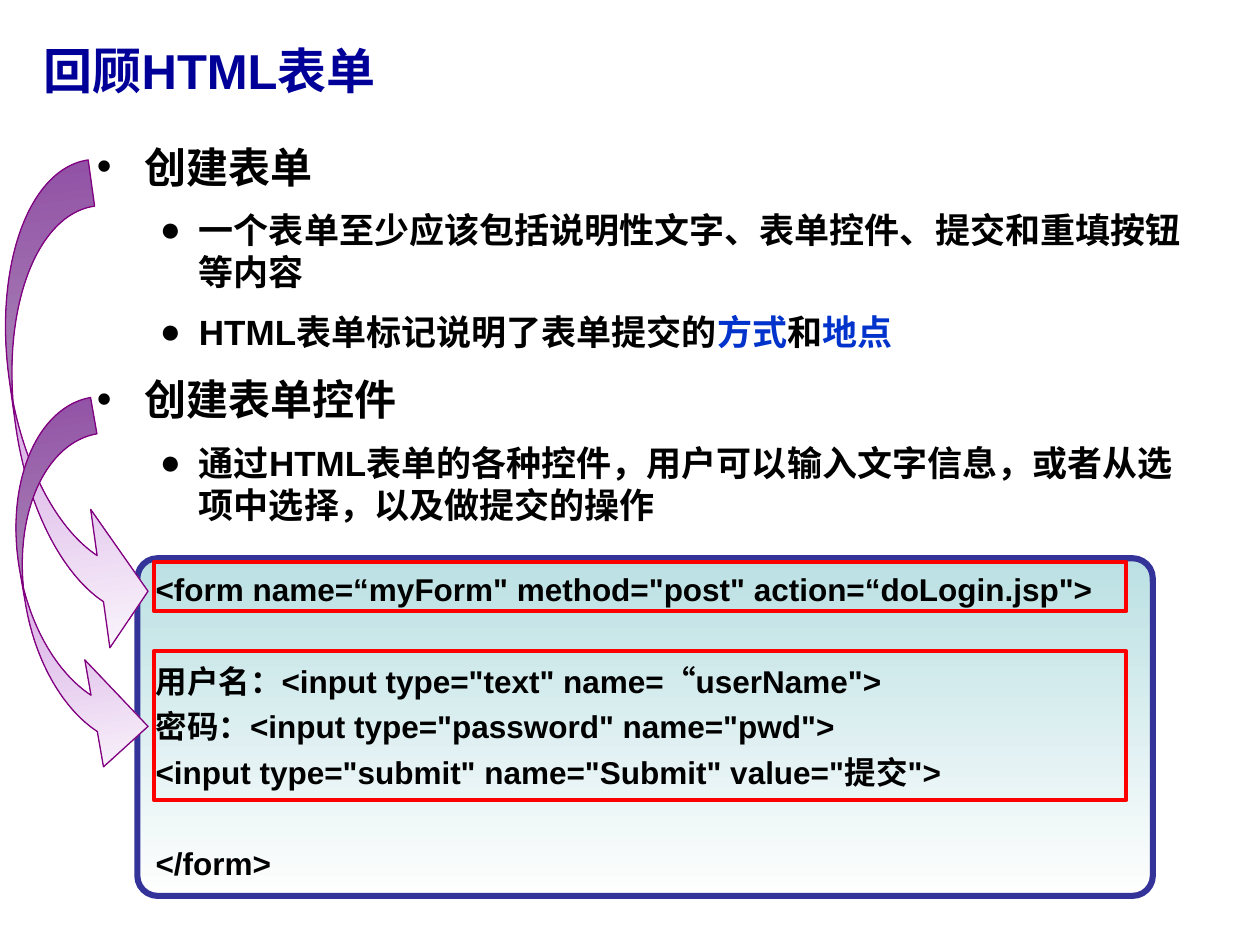
import pptx
import pptx.dml.color
import pptx.enum.shapes
import pptx.enum.text
import pptx.util
from dataclasses import dataclass
from lxml import etree
from pptx.oxml.ns import qn

SHAPE = pptx.enum.shapes.MSO_SHAPE
ANCHOR = pptx.enum.text.MSO_ANCHOR
SLIDE_WIDTH = pptx.util.Inches(10)
SLIDE_HEIGHT = pptx.util.Inches(7.5)


@dataclass(frozen=True)
class Theme:
    font: str = "Arial"
    title: str = "000099"
    text: str = "000000"
    keyword: str = "0033CC"
    panel_top: str = "BBE0E3"
    fade: str = "FEFEFE"
    panel_line: str = "333399"
    marker: str = "FF0000"
    arrow: str = "B563CF"
    arrow_line: str = "800080"
    title_size: float = 28
    topic_size: float = 24
    detail_size: float = 20
    code_size: float = 18


THEME = Theme()


def rgb(value):
    return pptx.dml.color.RGBColor.from_string(value)


def area(left, top, width, height):
    """Turn percentages of the slide's size into a position and size."""
    return (int(SLIDE_WIDTH * left / 100), int(SLIDE_HEIGHT * top / 100),
            int(SLIDE_WIDTH * width / 100), int(SLIDE_HEIGHT * height / 100))


def set_bullet(paragraph, char, margin, hanging):
    properties = paragraph._p.get_or_add_pPr()
    properties.set("marL", str(pptx.util.Inches(margin)))
    properties.set("indent", str(-pptx.util.Inches(hanging)))
    bullet_color = etree.SubElement(properties, qn("a:buClr"))
    etree.SubElement(bullet_color, qn("a:srgbClr"), val=THEME.text)
    etree.SubElement(properties, qn("a:buFont"), typeface=THEME.font)
    etree.SubElement(properties, qn("a:buChar"), char=char)


def write(frame, text, size, color=THEME.text, before=0, bullet=None,
          first=False, keywords=()):
    """Write one paragraph, colouring each of the keywords in it."""
    paragraph = frame.paragraphs[0] if first else frame.add_paragraph()
    if bullet:
        set_bullet(paragraph, *bullet)
    paragraph.alignment = pptx.enum.text.PP_ALIGN.LEFT
    paragraph.space_before = pptx.util.Pt(before)
    for keyword in keywords:
        text = text.replace(keyword, f"|{keyword}|")
    for part in filter(None, text.split("|")):
        run = paragraph.add_run()
        run.text = part
        run.font.name = THEME.font
        run.font.size = pptx.util.Pt(size)
        run.font.bold = True
        run.font.color.rgb = rgb(THEME.keyword if part in keywords else color)


def add_text_area(slide, place, anchor=ANCHOR.TOP):
    frame = slide.shapes.add_textbox(*area(*place)).text_frame
    frame.word_wrap = True
    frame.vertical_anchor = anchor
    return frame


def add_figure(slide, kind, place, line, line_width, fill=None,
               adjustments=(), rotation=0):
    """Add a preset shape, fading downwards from fill, or hollow."""
    figure = slide.shapes.add_shape(kind, *area(*place))
    figure.shadow.inherit = False
    figure.rotation = rotation
    for index, value in enumerate(adjustments):
        figure.adjustments[index] = value
    if fill:
        figure.fill.gradient()
        figure.fill.gradient_angle = 270
        for stop, color in zip(figure.fill.gradient_stops, (fill, THEME.fade)):
            stop.color.rgb = rgb(color)
    else:
        figure.fill.background()
    figure.line.color.rgb = rgb(line)
    figure.line.width = pptx.util.Pt(line_width)
    return figure


def add_outline(slide):
    topic = {"size": THEME.topic_size, "bullet": ("•", 0.38, 0.38)}
    detail = {"size": THEME.detail_size, "bullet": ("●", 0.81, 0.31),
              "before": 10}
    outline = add_text_area(slide, (6.7, 14.27, 88.2, 45.2))
    write(outline, "创建表单", first=True, **topic)
    write(outline, "一个表单至少应该包括说明性文字、表单控件、提交和重填按钮等内容", **detail)
    write(outline, "HTML表单标记说明了表单提交的方式和地点",
          keywords=("方式", "地点"), **detail)
    write(outline, "创建表单控件", before=12, **topic)
    write(outline, "通过HTML表单的各种控件，用户可以输入文字信息，"
          "或者从选项中选择，以及做提交的操作", **detail)


def add_code_panel(slide):
    panel = add_figure(slide, SHAPE.ROUNDED_RECTANGLE,
                       (10.9, 59.07, 80.6, 35.73), THEME.panel_line, 3.5,
                       fill=THEME.panel_top, adjustments=(0.06,))
    code = panel.text_frame
    code.word_wrap = True
    code.vertical_anchor = ANCHOR.TOP
    line_gap, block_gap = 4.5, 30.5
    code_lines = (
        ('<form name=“myForm" method="post" action=“doLogin.jsp">', 0),
        ('用户名：<input type="text" name=“userName">', block_gap),
        ('密码：<input type="password" name="pwd">', line_gap),
        ('<input type="submit" name="Submit" value="提交">', line_gap),
        ('</form>', block_gap),
    )
    for index, (text, gap) in enumerate(code_lines):
        write(code, text, THEME.code_size, before=gap, first=index == 0)


def main():
    deck = pptx.Presentation()
    deck.slide_width, deck.slide_height = SLIDE_WIDTH, SLIDE_HEIGHT
    slide = deck.slides.add_slide(deck.slide_layouts[6])

    # Title and bullet outline
    heading = add_text_area(slide, (2.5, 2.93, 90, 8.93), ANCHOR.MIDDLE)
    write(heading, "回顾HTML表单", THEME.title_size, THEME.title, first=True)
    add_outline(slide)

    # Code with a marker around the form tag and one around the controls
    add_code_panel(slide)
    for top, height in ((59.47, 5.2), (68.93, 15.73)):
        add_figure(slide, SHAPE.RECTANGLE, (12.2, top, 77.2, height),
                   THEME.marker, 2.25)

    # Arrows from each topic to its code
    topic_arrows = (
        ((1.2, 17.47, 8.6, 53.47), 352.1, (0.43, 1.29, 0.42)),
        ((2, 42.67, 7.9, 41.07), 350.1, (0.37, 1.09, 0.51)),
    )
    for place, rotation, adjustments in topic_arrows:
        add_figure(slide, SHAPE.CURVED_RIGHT_ARROW, place, THEME.arrow_line,
                   0.75, fill=THEME.arrow, adjustments=adjustments,
                   rotation=rotation)

    deck.save("out.pptx")


if __name__ == "__main__":
    main()
